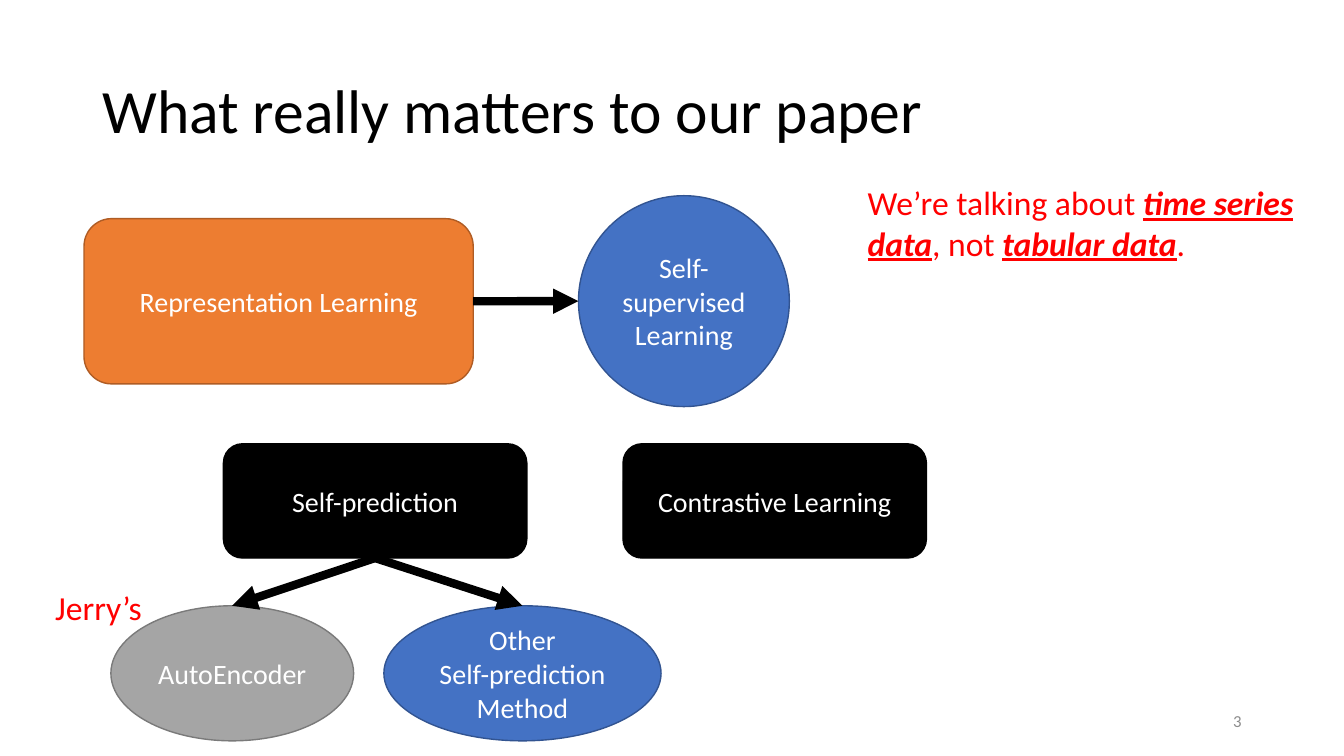
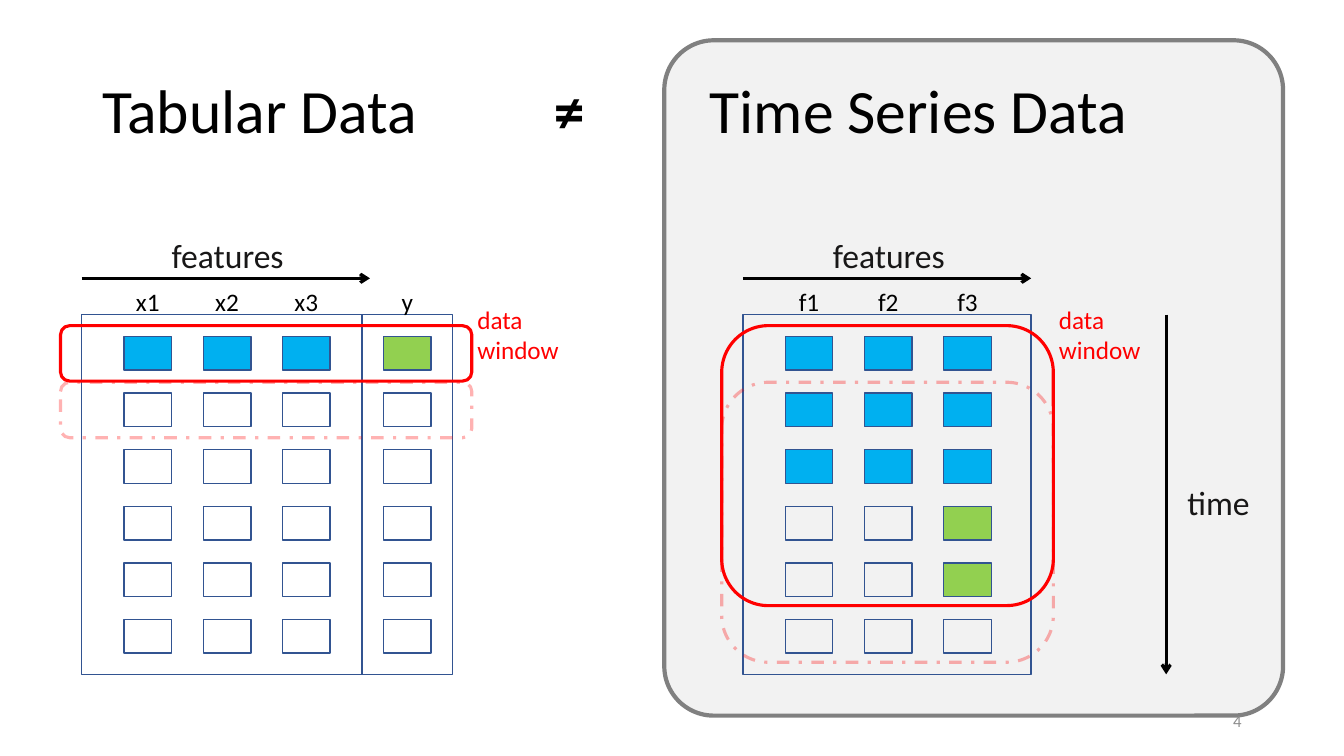
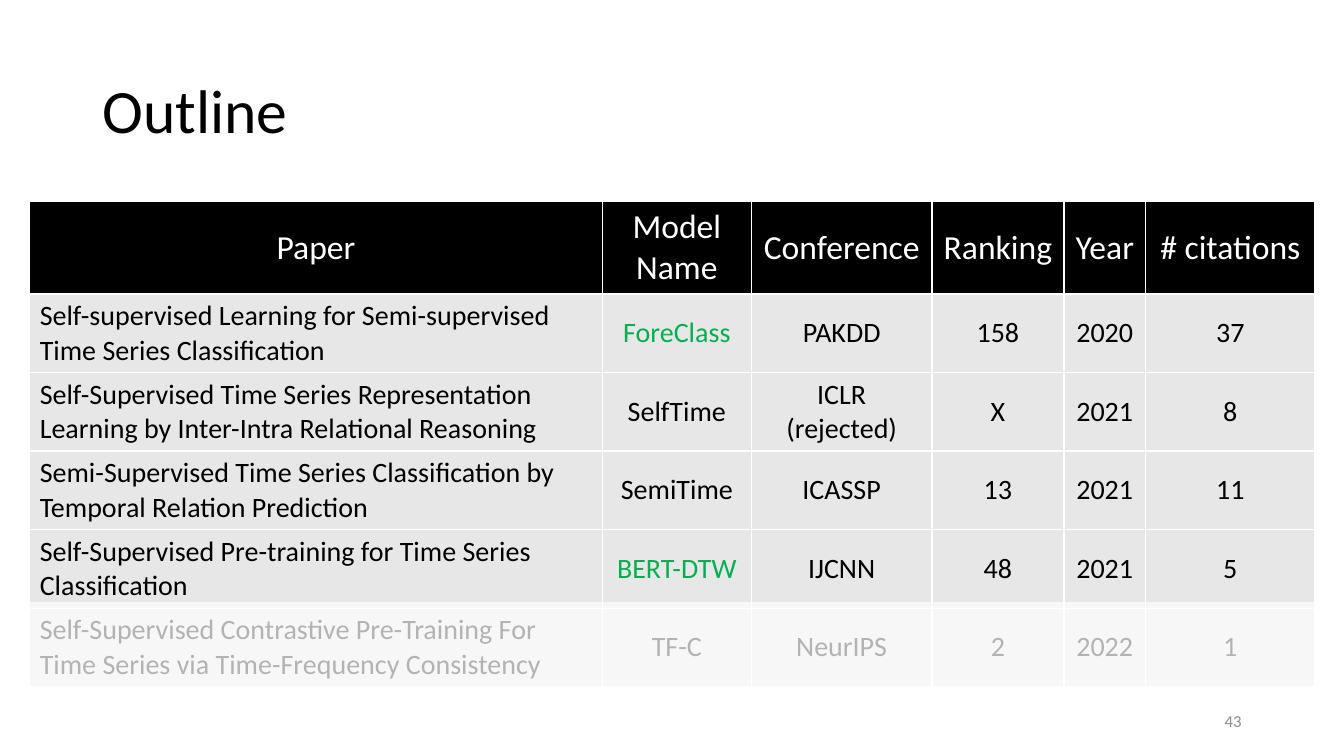
from dataclasses import dataclass
from typing import NamedTuple

from lxml.etree import SubElement
from pptx import Presentation
from pptx.dml.color import RGBColor
from pptx.enum.dml import MSO_LINE
from pptx.enum.shapes import MSO_CONNECTOR, MSO_SHAPE
from pptx.enum.text import MSO_ANCHOR, PP_ALIGN
from pptx.oxml.ns import qn
from pptx.shapes.autoshape import Shape
from pptx.slide import Slide
from pptx.table import _Cell
from pptx.text.text import TextFrame, _Paragraph
from pptx.util import Pt


# Theme
@dataclass(frozen=True)
class Theme:
    font: str = "Calibri"
    title_size: float = 44
    note_size: float = 24
    body_size: float = 20
    label_size: float = 18
    number_size: float = 12
    black: str = "000000"
    white: str = "FFFFFF"
    ink: str = "181717"
    number: str = "8C8C8C"
    red: str = "FF0000"
    blue: str = "4472C4"
    blue_edge: str = "325491"
    orange: str = "ED7D31"
    orange_edge: str = "AF5C24"
    grey: str = "A5A5A5"
    grey_edge: str = "7A7A7A"
    panel: str = "F2F2F2"
    panel_edge: str = "808080"
    input_cell: str = "00B0F0"
    target_cell: str = "92D050"
    table_row: str = "E7E7E7"
    highlight: str = "00B050"


THEME = Theme()


class Point(NamedTuple):
    x: float
    y: float


class Box(NamedTuple):
    left: float
    top: float
    width: float
    height: float

    def at(self, across: float, down: float) -> Point:
        return Point(self.left + across * self.width, self.top + down * self.height)


class Run(NamedTuple):
    text: str
    bold: bool = False
    italic: bool = False
    underline: bool = False


@dataclass(frozen=True)
class Node:
    box: Box
    text: str
    fill: str
    edge: str
    kind: MSO_SHAPE = MSO_SHAPE.ROUNDED_RECTANGLE


@dataclass(frozen=True)
class DataGrid:
    left: float
    frame_width: float
    headings: tuple[str, ...]
    fills: dict[tuple[int, int], str]
    window_width: float
    window_rows: int


TITLE_BOX = Box(66, 28.8, 828, 104.4)
NUMBER_BOX = Box(678, 500.4, 216, 28.8)


# Shared drawing
def rgb(value: str) -> RGBColor:
    return RGBColor.from_string(value)


def style(paragraph: _Paragraph, size: float, color: str,
          align: PP_ALIGN = PP_ALIGN.LEFT) -> None:
    paragraph.alignment = align
    font = paragraph.font
    font.name, font.size = THEME.font, Pt(size)
    font.color.rgb = rgb(color)


def fill_lines(frame: TextFrame, text: str, size: float, color: str,
               align: PP_ALIGN) -> None:
    frame.word_wrap = True
    frame.text = text
    for paragraph in frame.paragraphs:
        style(paragraph, size, color, align)


def add_frame(slide: Slide, box: Box) -> TextFrame:
    frame = slide.shapes.add_textbox(*map(Pt, box)).text_frame
    frame.word_wrap = True
    return frame


def add_label(slide: Slide, box: Box, text: str, size: float, color: str,
              align: PP_ALIGN = PP_ALIGN.LEFT) -> TextFrame:
    frame = add_frame(slide, box)
    fill_lines(frame, text, size, color, align)
    return frame


def add_runs(paragraph: _Paragraph, runs: tuple[Run, ...]) -> None:
    for part in runs:
        run = paragraph.add_run()
        run.text = part.text
        if part.bold:
            run.font.bold = True
        if part.italic:
            run.font.italic = True
        if part.underline:
            run.font.underline = True


def add_title(slide: Slide, *runs: Run, tabs: tuple[float, ...] = ()) -> None:
    frame = add_frame(slide, TITLE_BOX)
    frame.vertical_anchor = MSO_ANCHOR.MIDDLE
    paragraph = frame.paragraphs[0]
    add_runs(paragraph, runs)
    paragraph.line_spacing = 0.9
    if tabs:
        tab_list = SubElement(paragraph._p.get_or_add_pPr(), qn("a:tabLst"))
        for position in tabs:
            SubElement(tab_list, qn("a:tab"), pos=str(Pt(position)), algn="l")
    style(paragraph, THEME.title_size, THEME.black)


def add_number(slide: Slide, number: int) -> None:
    frame = add_label(slide, NUMBER_BOX, str(number), THEME.number_size,
                      THEME.number, PP_ALIGN.RIGHT)
    frame.vertical_anchor = MSO_ANCHOR.MIDDLE


def add_block(slide: Slide, box: Box, kind: MSO_SHAPE, fill: str | None = None,
              edge: str | None = None, weight: float = 1) -> Shape:
    block = slide.shapes.add_shape(kind, *map(Pt, box))
    block.shadow.inherit = False
    if fill:
        block.fill.solid()
        block.fill.fore_color.rgb = rgb(fill)
    else:
        block.fill.background()
    if edge:
        block.line.color.rgb = rgb(edge)
        block.line.width = Pt(weight)
    else:
        block.line.fill.background()
    return block


def set_opacity(block: Shape, percent: int) -> None:
    color = next(block._element.spPr.iter(qn("a:srgbClr")))
    SubElement(color, qn("a:alpha"), val=str(percent * 1000))


def add_arrow(slide: Slide, start: Point, end: Point, weight: float,
              head: str) -> None:
    arrow = slide.shapes.add_connector(MSO_CONNECTOR.STRAIGHT,
                                       *map(Pt, (*start, *end)))
    arrow.line.color.rgb = rgb(THEME.black)
    arrow.line.width = Pt(weight)
    properties = arrow._element.spPr
    SubElement(properties.find(qn("a:ln")), qn("a:tailEnd"), type=head)
    SubElement(properties, qn("a:effectLst"))


# Slide 1: map of methods
def add_node(slide: Slide, node: Node) -> None:
    block = add_block(slide, node.box, node.kind, node.fill, node.edge)
    block.text_frame.vertical_anchor = MSO_ANCHOR.MIDDLE
    fill_lines(block.text_frame, node.text, THEME.body_size, THEME.white,
               PP_ALIGN.CENTER)


def build_method_map(slide: Slide) -> None:
    add_title(slide, Run("What really matters to our paper"))

    oval = MSO_SHAPE.OVAL
    representation = Node(Box(60, 156.2, 278, 118), "Representation Learning",
                          THEME.orange, THEME.orange_edge)
    self_supervised = Node(Box(413.2, 139.8, 150.6, 150.6),
                           "Self-supervised Learning",
                           THEME.blue, THEME.blue_edge, oval)
    prediction = Node(Box(159.6, 317, 216.7, 81.6), "Self-prediction",
                      THEME.black, THEME.black)
    contrastive = Node(Box(445, 317, 216.7, 81.6), "Contrastive Learning",
                       THEME.black, THEME.black)
    autoencoder = Node(Box(79.2, 432.7, 173.4, 96.5), "AutoEncoder",
                       THEME.grey, THEME.grey_edge, oval)
    other = Node(Box(274.2, 432.7, 198, 96.5), "Other\nSelf-prediction\nMethod",
                 THEME.blue, THEME.blue_edge, oval)
    for node in (autoencoder, contrastive, prediction, other,
                 self_supervised, representation):
        add_node(slide, node)

    add_arrow(slide, representation.box.at(1, 0.5),
              self_supervised.box.at(0, 0.5), 6, "triangle")
    for method in (autoencoder, other):
        add_arrow(slide, prediction.box.at(0.5, 1), method.box.at(0.5, 0),
                  6, "triangle")

    # Red remarks
    remark = add_frame(slide, Box(612.7, 126.7, 346.3, 65.5)).paragraphs[0]
    add_runs(remark, (Run("We’re talking about "),
                      Run("time series data", True, True, True),
                      Run(", not "),
                      Run("tabular data", True, True, True),
                      Run(".")))
    style(remark, THEME.note_size, THEME.red)
    add_label(slide, Box(32.4, 415.4, 80, 36), "Jerry’s",
              THEME.note_size, THEME.red)


# Slide 2: tabular data and time series data
GRID_TOP, GRID_HEIGHT = 224.7, 257
ROWS, ROW_PITCH, COLUMN_PITCH = 6, 40.45, 56.6
CELL_WIDTH, CELL_HEIGHT = 34, 24
TARGET_OFFSET, TARGET_WIDTH = 200.2, 64.8
ARROW_LENGTH = 206
TABULAR = DataGrid(58.3, TARGET_OFFSET, ("x1", "x2", "x3", "y"),
                   {(0, column): THEME.input_cell for column in range(3)}
                   | {(0, 3): THEME.target_cell}, 293.8, 1)
TIME_SERIES = DataGrid(530.6, ARROW_LENGTH, ("f1", "f2", "f3"),
                       {(row, column): THEME.input_cell
                        for row in range(3) for column in range(3)}
                       | {(row, 2): THEME.target_cell for row in (3, 4)},
                       236.9, 5)


def add_window(slide: Slide, grid: DataGrid, first_row: int) -> Shape:
    height = 39.6 + (grid.window_rows - 1) * 40.1
    box = Box(grid.left - 15.1, GRID_TOP + 7.9 + first_row * ROW_PITCH,
              grid.window_width, height)
    return add_block(slide, box, MSO_SHAPE.ROUNDED_RECTANGLE,
                     edge=THEME.red, weight=2.25)


def add_grid(slide: Slide, grid: DataGrid) -> None:
    frames = [Box(grid.left, GRID_TOP, grid.frame_width, GRID_HEIGHT)]
    if len(grid.headings) > 3:
        frames.append(Box(grid.left + TARGET_OFFSET, GRID_TOP,
                          TARGET_WIDTH, GRID_HEIGHT))
    for frame in frames:
        add_block(slide, frame, MSO_SHAPE.RECTANGLE, edge=THEME.blue_edge)

    # Columns with their headings
    for column, heading in enumerate(grid.headings):
        offset = (30.3 + column * COLUMN_PITCH if column < 3
                  else TARGET_OFFSET + (TARGET_WIDTH - CELL_WIDTH) / 2)
        left = grid.left + offset
        for row in range(ROWS):
            cell = Box(left, GRID_TOP + 15.6 + row * ROW_PITCH,
                       CELL_WIDTH, CELL_HEIGHT)
            add_block(slide, cell, MSO_SHAPE.RECTANGLE,
                      grid.fills.get((row, column)), THEME.blue_edge)
        add_label(slide, Box(left - 8, 201, CELL_WIDTH + 16, 28.8), heading,
                  THEME.label_size, THEME.black, PP_ALIGN.CENTER)

    # Feature axis
    add_label(slide, Box(grid.left + 57.3, 164.2, 105, 36), "features",
              THEME.note_size, THEME.ink)
    add_arrow(slide, Point(grid.left, 198.8),
              Point(grid.left + ARROW_LENGTH, 198.8), 2.25, "arrow")

    # Current and next data window
    add_window(slide, grid, 0)
    following = add_window(slide, grid, 1)
    following.line.dash_style = MSO_LINE.DASH_DOT
    set_opacity(following, 30)
    add_label(slide, Box(grid.left + grid.window_width - 18.2, 213.8, 81.4, 50),
              "data window", THEME.label_size, THEME.red)


def build_data_comparison(slide: Slide) -> None:
    panel = add_block(slide, Box(474.5, 28.8, 442, 482.4),
                      MSO_SHAPE.ROUNDED_RECTANGLE, THEME.panel,
                      THEME.panel_edge, 3)
    panel.adjustments[0] = 0.08
    add_title(slide, Run("Tabular Data\t"), Run("≠", bold=True),
              Run("\tTime Series Data"), tabs=(322.5, 434))
    for grid in (TIME_SERIES, TABULAR):
        add_grid(slide, grid)

    # Time axis
    add_arrow(slide, Point(833, GRID_TOP), Point(833, GRID_TOP + GRID_HEIGHT),
              2.25, "arrow")
    add_label(slide, Box(841, 340.6, 70, 36), "time", THEME.note_size, THEME.ink)


# Slide 3: table of papers
COLUMN_WIDTHS = (409, 106.6, 128.9, 94.3, 58.4, 121)
HEADER_HEIGHT, PAPER_HEIGHT = 65.8, 56.1
HEADER = ("Paper", "Model Name", "Conference", "Ranking", "Year", "# citations")
PAPERS = (
    ("Self-supervised Learning for Semi-supervised Time Series Classification",
     "ForeClass", "PAKDD", "158", "2020", "37"),
    ("Self-Supervised Time Series Representation Learning by Inter-Intra "
     "Relational Reasoning", "SelfTime", "ICLR (rejected)", "X", "2021", "8"),
    ("Semi-Supervised Time Series Classification by Temporal Relation Prediction",
     "SemiTime", "ICASSP", "13", "2021", "11"),
    ("Self-Supervised Pre-training for Time Series Classification",
     "BERT-DTW", "IJCNN", "48", "2021", "5"),
    ("Self-Supervised Contrastive Pre-Training For Time Series via "
     "Time-Frequency Consistency", "TF-C", "NeurIPS", "2", "2022", "1"),
)
HIGHLIGHTED = {"ForeClass", "BERT-DTW"}


def add_borders(cell: _Cell) -> None:
    properties = cell._tc.get_or_add_tcPr()
    for index, side in enumerate(("a:lnL", "a:lnR", "a:lnT", "a:lnB")):
        border = properties.makeelement(qn(side), {"w": str(Pt(1))})
        solid = SubElement(border, qn("a:solidFill"))
        SubElement(solid, qn("a:srgbClr"), val=THEME.white)
        properties.insert(index, border)


def fill_cell(cell: _Cell, text: str, size: float, color: str, fill: str,
              align: PP_ALIGN) -> None:
    cell.fill.solid()
    cell.fill.fore_color.rgb = rgb(fill)
    cell.vertical_anchor = MSO_ANCHOR.MIDDLE
    cell.text = text
    style(cell.text_frame.paragraphs[0], size, color, align)
    add_borders(cell)


def build_outline(slide: Slide) -> None:
    add_title(slide, Run("Outline"))
    box = Box(21.2, 144.2, sum(COLUMN_WIDTHS),
              HEADER_HEIGHT + len(PAPERS) * PAPER_HEIGHT)
    table = slide.shapes.add_table(len(PAPERS) + 1, len(HEADER),
                                   *map(Pt, box)).table
    table.first_row = table.horz_banding = False
    for column, width in zip(table.columns, COLUMN_WIDTHS):
        column.width = Pt(width)

    for r, entries in enumerate((HEADER, *PAPERS)):
        is_header = r == 0
        table.rows[r].height = Pt(HEADER_HEIGHT if is_header else PAPER_HEIGHT)
        for c, text in enumerate(entries):
            align = PP_ALIGN.CENTER if is_header or c else PP_ALIGN.LEFT
            if is_header:
                look = (THEME.note_size, THEME.white, THEME.black)
            else:
                color = THEME.highlight if text in HIGHLIGHTED else THEME.black
                look = (THEME.body_size, color, THEME.table_row)
            fill_cell(table.cell(r, c), text, *look, align)

    # Veil over the last paper
    veil = add_block(slide, Box(15, 430, 924.5, 65.5), MSO_SHAPE.RECTANGLE,
                     THEME.white)
    set_opacity(veil, 70)


def main() -> None:
    deck = Presentation()
    deck.slide_width, deck.slide_height = Pt(960), Pt(540)
    blank = deck.slide_layouts[6]
    for build, number in ((build_method_map, 3), (build_data_comparison, 4),
                          (build_outline, 43)):
        slide = deck.slides.add_slide(blank)
        build(slide)
        add_number(slide, number)
    deck.save("out.pptx")


if __name__ == "__main__":
    main()
